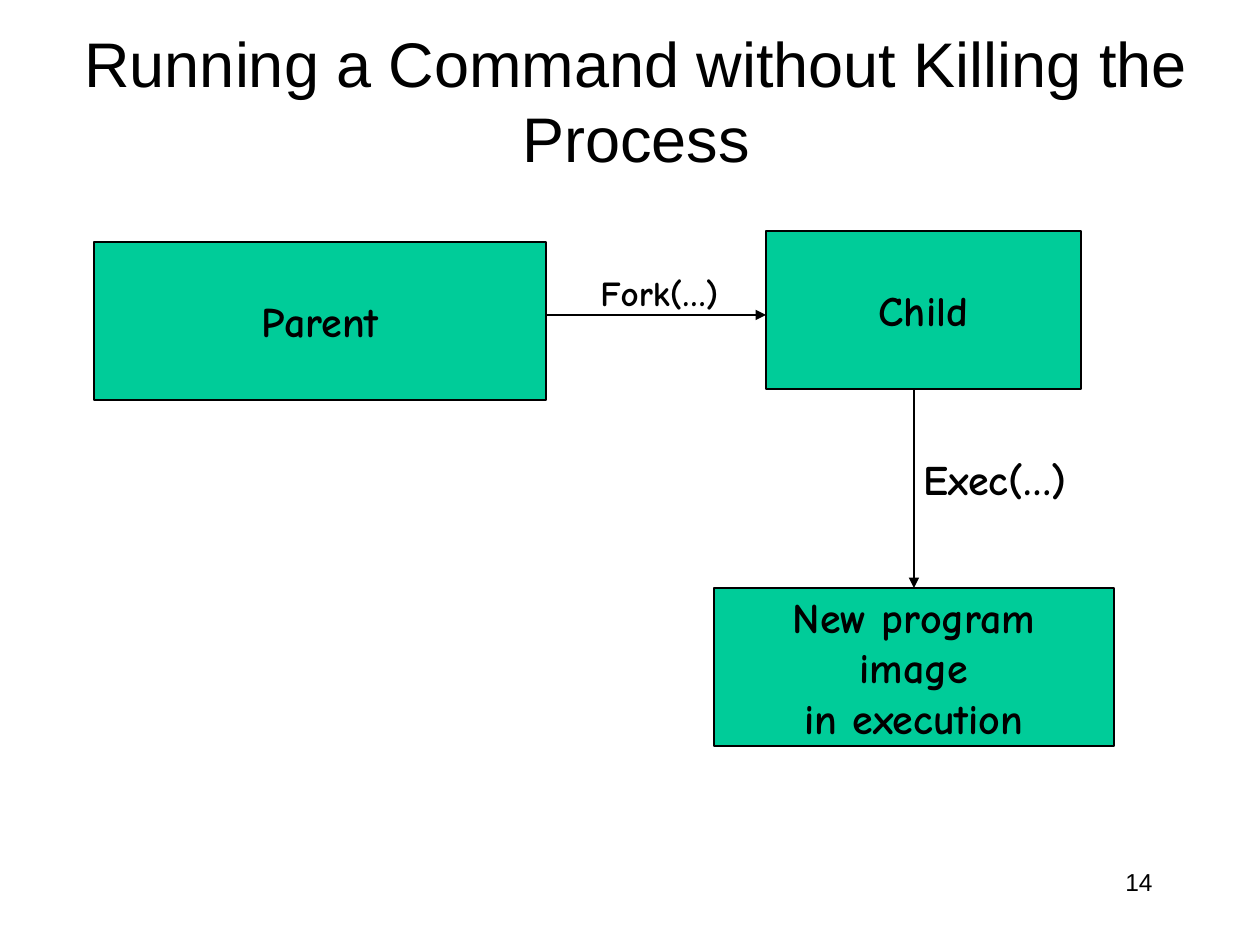
import pptx
import pptx.util
import pptx.dml.color
import pptx.enum.shapes
import pptx.enum.text
import pptx.oxml.ns
import lxml.etree

PX = 914400 // 126
ALIGN = pptx.enum.text.PP_ALIGN
ANCHOR = pptx.enum.text.MSO_ANCHOR
BLACK, GREEN = "000000", "00CC99"

# Content: text and left, top, width, height in px
TITLE = ("Running a Command without Killing the Process", (53, 21, 1166, 158))
PAGE_NUMBER = ("14", (903, 861, 262, 63))
PROCESSES = {
    "parent": ("Parent", (94, 242, 452, 158)),
    "child": ("Child", (766, 231, 315, 158)),
    "program": ("New program\nimage\nin execution", (714, 588, 400, 158)),
}
CALLS = [
    ("Fork(…)", 20, (588, 265, 150, 54)),
    ("Exec(…)", 24, (911, 447, 180, 63)),
]
FORK_Y = 315


def px(*lengths):
    return [length * PX for length in lengths]


def color(hex_code):
    return pptx.dml.color.RGBColor.from_string(hex_code)


def write(shape, text, size, font, align, anchor, bold=False, wrap=False):
    frame = shape.text_frame
    frame.text = text
    frame.word_wrap = wrap
    frame.vertical_anchor = anchor
    for paragraph in frame.paragraphs:
        paragraph.alignment = align
        for run in paragraph.runs:
            run.font.size = pptx.util.Pt(size)
            run.font.name = font
            run.font.bold = bold
            run.font.color.rgb = color(BLACK)


def add_arrow(slide, start, end):
    arrow = slide.shapes.add_connector(
        pptx.enum.shapes.MSO_CONNECTOR.STRAIGHT, *px(*start, *end))
    arrow.line.color.rgb = color(BLACK)
    arrow.line.width = pptx.util.Pt(0.75)
    qn = pptx.oxml.ns.qn
    lxml.etree.SubElement(arrow.line._get_or_add_ln(), qn("a:tailEnd"), type="triangle")
    lxml.etree.SubElement(arrow._element.spPr, qn("a:effectLst"))
    return arrow


def main():
    deck = pptx.Presentation()
    deck.slide_width, deck.slide_height = px(1260, 945)
    slide = deck.slides.add_slide(deck.slide_layouts[5])

    # Title and page number
    text, box = TITLE
    title = slide.shapes.title
    title.left, title.top, title.width, title.height = px(*box)
    write(title, text, 36, "Arial", ALIGN.CENTER, ANCHOR.MIDDLE, wrap=True)
    text, box = PAGE_NUMBER
    page_number = slide.shapes.add_textbox(*px(*box))
    write(page_number, text, 14, "Arial", ALIGN.RIGHT, ANCHOR.TOP, wrap=True)

    # Process boxes
    processes = {}
    for key, (text, box) in PROCESSES.items():
        process = slide.shapes.add_shape(
            pptx.enum.shapes.MSO_SHAPE.RECTANGLE, *px(*box))
        process.shadow.inherit = False
        process.fill.solid()
        process.fill.fore_color.rgb = color(GREEN)
        process.line.color.rgb = color(BLACK)
        process.line.width = pptx.util.Pt(0.75)
        write(process, text, 24, "Comic Neue", ALIGN.CENTER, ANCHOR.MIDDLE, bold=True)
        processes[key] = process

    # Arrows from parent to child and from child to the new program
    parent, child, program = (box for _, box in PROCESSES.values())
    add_arrow(slide, (parent[0] + parent[2], FORK_Y), (child[0], FORK_Y))
    exec_x = program[0] + program[2] // 2
    exec_arrow = add_arrow(slide, (exec_x, child[1] + child[3]), (exec_x, program[1]))
    exec_arrow.end_connect(processes["program"], 0)

    # System call labels
    for text, size, box in CALLS:
        call = slide.shapes.add_textbox(*px(*box))
        write(call, text, size, "Comic Neue", ALIGN.LEFT, ANCHOR.TOP, bold=True)
        call.text_frame.auto_size = pptx.enum.text.MSO_AUTO_SIZE.SHAPE_TO_FIT_TEXT

    deck.save("out.pptx")


if __name__ == "__main__":
    main()
